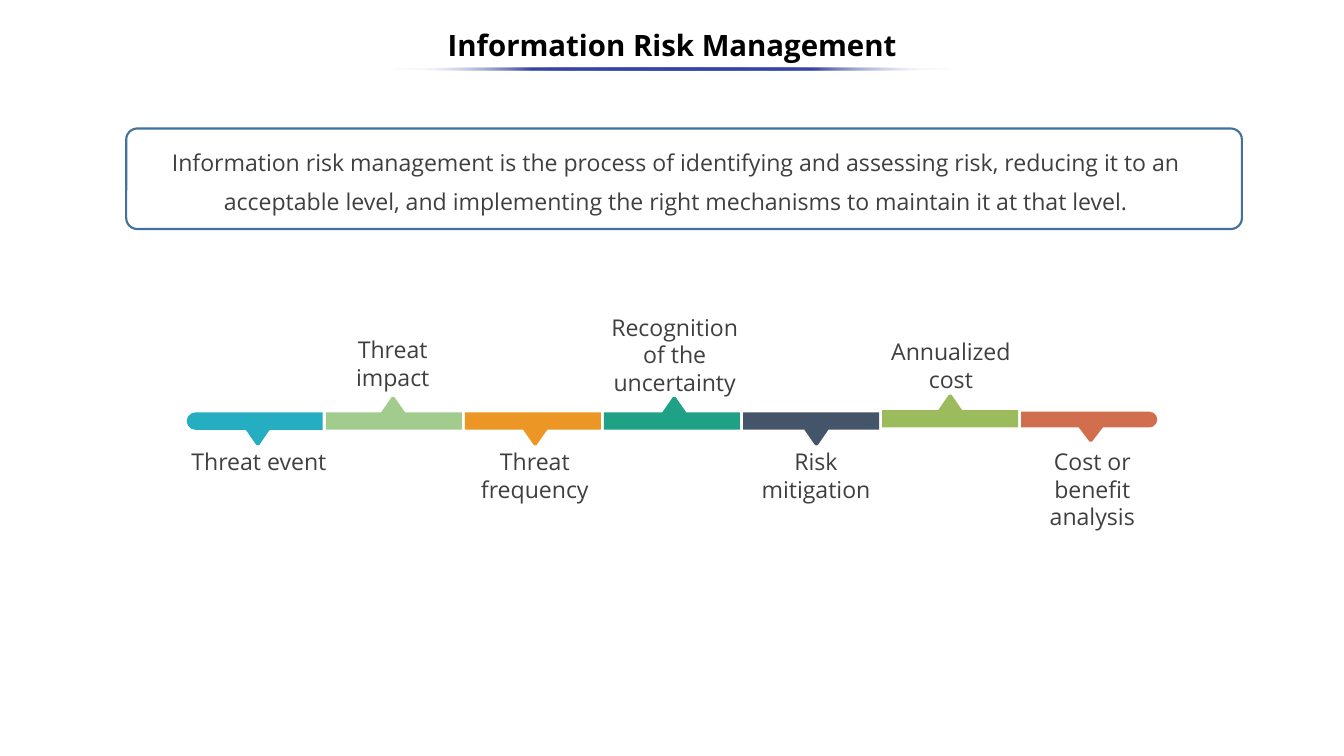
from dataclasses import dataclass

from pptx import Presentation
from pptx.dml.color import RGBColor
from pptx.enum.shapes import MSO_SHAPE as Preset
from pptx.enum.text import MSO_ANCHOR as Anchor, PP_ALIGN as Align
from pptx.oxml import parse_xml
from pptx.oxml.ns import nsdecls
from pptx.util import Inches, Pt

# Content: label, colour, pointer direction, pointer x, label (left, top, width)
TITLE = "Information Risk Management"
INTRO = ("Information risk management is the process of identifying and assessing risk, "
         "reducing it to an acceptable level, and implementing the right mechanisms "
         "to maintain it at that level.")
STEPS = [
    ("Threat event", "25ADC1", "down", 3.41, (2.43, 5.87, 1.99)),
    ("Threat impact", "A1CC8E", "up", 5.20, (4.20, 4.39, 1.99)),
    ("Threat frequency", "EC9625", "down", 7.08, (6.08, 5.87, 1.99)),
    ("Recognition of the uncertainty", "1EA185", "up", 8.92, (7.93, 4.09, 1.99)),
    ("Risk mitigation", "445469", "down", 10.80, (9.95, 5.87, 1.69)),
    ("Annualized cost", "9BBB5C", "up", 12.57, (11.68, 4.42, 1.80)),
    ("Cost or benefit analysis", "D06E4E", "down", 14.43, (13.43, 5.87, 2.04)),
]


@dataclass(frozen=True)
class Theme:
    font: str = "Open Sans"
    title_size: int = 28
    body_size: int = 22
    title: str = "000000"
    body: str = "3F3F3F"
    frame: str = "42719B"
    rule: str = "3645A9"
    rule_end: str = "FFFFFF"


THEME = Theme()
WIDTH, HEIGHT = 17.78, 10
BAR_LEFT, BAR_WIDTH, BAR_GAP = 2.47, 1.8, 0.04
BAR_MIDDLE, BAR_HEIGHT = 5.57, 0.23
LAST_MIDDLE, LAST_HEIGHT = 5.55, 0.21  # the closing bar is slimmer
RAISED = {5: 5.54}                     # bars off the common middle line
# Half of a soft-cornered pointer: x from its axis, share of depth from its base
POINTER = [(0.14, 0), (0.16, 0.06), (0.16, 0.16), (0.02, 0.97)]


def rgb(value):
    return RGBColor.from_string(value)


def add_text(page, text, left, top, width, height, *, size=THEME.body_size,
             color=THEME.body, bold=False, spacing=1.0, anchor=Anchor.TOP, side=0.1):
    box = page.shapes.add_textbox(*map(Inches, (left, top, width, height)))
    frame = box.text_frame
    frame.word_wrap = True
    frame.vertical_anchor = anchor
    frame.margin_left = frame.margin_right = Inches(side)
    para = frame.paragraphs[0]
    para.alignment = Align.CENTER
    para.line_spacing = spacing
    span = para.add_run()
    span.text = text
    span.font.name, span.font.size = THEME.font, Pt(size)
    span.font.bold, span.font.color.rgb = bold, rgb(color)


def add_preset(page, preset, left, top, width, height):
    shape = page.shapes.add_shape(preset, *map(Inches, (left, top, width, height)))
    shape.shadow.inherit = False
    shape.line.fill.background()
    return shape


def paint(shape, color):
    shape.fill.solid()
    shape.fill.fore_color.rgb = rgb(color)


def add_title_rule(page):
    rule = add_preset(page, Preset.OVAL, 5.18, 0.89, 7.42, 0.04)
    rule.fill.gradient()
    rule.fill.gradient_angle = 180
    stops = "".join(
        f'<a:gs pos="{share * 1000}"><a:srgbClr val="{color}">'
        f'<a:alpha val="{alpha * 1000}"/></a:srgbClr></a:gs>'
        for share, color, alpha in [
            (0, THEME.rule_end, 0), (25, THEME.rule, 100), (50, THEME.rule, 100),
            (75, THEME.rule, 100), (100, THEME.rule_end, 0)])
    old = rule._element.spPr.find(".//{*}gsLst")
    old.getparent().replace(old, parse_xml(f'<a:gsLst {nsdecls("a")}>{stops}</a:gsLst>'))


def add_bar(page, index, color, middle, height):
    center = BAR_LEFT + BAR_WIDTH / 2 + index * (BAR_WIDTH + BAR_GAP)
    rotation = {0: 270, len(STEPS) - 1: 90}.get(index)
    if rotation is None:
        bar = add_preset(page, Preset.RECTANGLE, center - BAR_WIDTH / 2,
                         middle - height / 2, BAR_WIDTH, height)
    else:  # end caps stand upright and are turned to face outwards
        bar = add_preset(page, Preset.ROUND_2_SAME_RECTANGLE, center - height / 2,
                         middle - BAR_WIDTH / 2, height, BAR_WIDTH)
        bar.adjustments[0], bar.adjustments[1] = 0.5, 0
        bar.rotation = rotation
    paint(bar, color)


def add_pointer(page, color, direction, axis, middle, height):
    sign = 1 if direction == "down" else -1
    depth = 1.08 * height
    base = middle + sign * (1.4 * height - depth)
    half = [(x, share * depth) for x, share in POINTER]
    outline = half + [(0, depth)] + [(-x, y) for x, y in reversed(half)]
    points = [(Inches(axis + x), Inches(base + sign * y)) for x, y in outline]
    builder = page.shapes.build_freeform(*points[0])
    builder.add_line_segments(points[1:], close=True)
    pointer = builder.convert_to_shape()
    pointer.shadow.inherit = False
    pointer.line.fill.background()
    paint(pointer, color)


def main():
    deck = Presentation()
    deck.slide_width, deck.slide_height = Inches(WIDTH), Inches(HEIGHT)
    page = deck.slides.add_slide(deck.slide_layouts[6])

    # Heading
    add_text(page, TITLE, 0, 0.25, WIDTH, 0.75, size=THEME.title_size,
             color=THEME.title, bold=True, spacing=0.9, anchor=Anchor.MIDDLE)
    add_title_rule(page)

    # Definition in its frame
    add_text(page, INTRO, 1.77, 1.77, 14.34, 1.15, spacing=1.4, side=0.05)
    frame = add_preset(page, Preset.ROUNDED_RECTANGLE, 1.67, 1.7, 14.76, 1.33)
    frame.adjustments[0] = 0.11
    frame.fill.background()
    frame.line.color.rgb, frame.line.width = rgb(THEME.frame), Pt(2)

    # Chain of steps
    for index, (label, color, direction, axis, (left, top, width)) in enumerate(STEPS):
        last = index == len(STEPS) - 1
        middle = LAST_MIDDLE if last else RAISED.get(index, BAR_MIDDLE)
        height = LAST_HEIGHT if last else BAR_HEIGHT
        add_bar(page, index, color, middle, height)
        add_pointer(page, color, direction, axis, middle, height)
        add_text(page, label, left, top, width, 0.77)

    deck.save("out.pptx")


if __name__ == "__main__":
    main()
